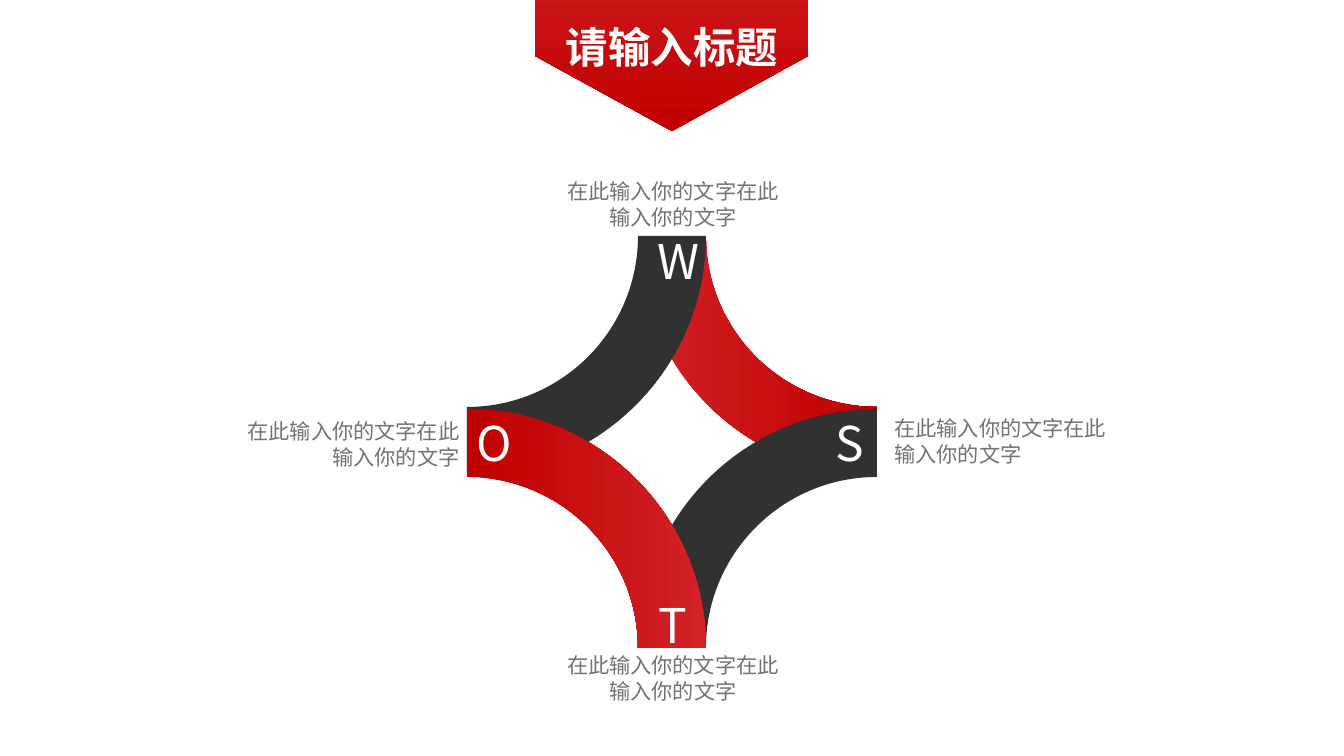
import math
import pptx
import pptx.util
import pptx.dml.color
import pptx.enum.text
import pptx.oxml
import pptx.oxml.ns

PX = 914400 / 95.6
FONT = "Noto Sans CJK SC"
BRIGHT, RED, DARK, GREY, WHITE = "D22226", "C00000", "313131", "767171", "FFFFFF"
ALIGN = pptx.enum.text.PP_ALIGN
ANCHOR = pptx.enum.text.MSO_ANCHOR

TITLE = "请输入标题"
TITLE_BOX = (555, 16, 234, 61)
BANNER = [(535, -88), (808, -88), (808, 56), (672, 131), (535, 56)]
CAPTION = ["在此输入你的文字在此", "输入你的文字"]
CAPTIONS = [
    (885, 411, ALIGN.LEFT),
    (534, 174, ALIGN.CENTER),
    (534, 648, ALIGN.CENTER),
    (191, 414, ALIGN.RIGHT),
]
LETTERS = [("S", 826, 418), ("T", 649, 600), ("O", 467, 418), ("W", 648, 236)]

# Each ribbon is a quarter ring around one corner of a square
LEFT, TOP, RIGHT, BOTTOM = 467, 236, 877, 648
OUTER, INNER = 239, 171
BEND = 0.5523  # handle length of a quarter circle, per radius
RIBBONS = [  # corner x, corner y, start angle, colours from left to right
    (RIGHT, TOP, 90, [BRIGHT, RED]),
    (LEFT, TOP, 0, [DARK]),
    (RIGHT, BOTTOM, 180, [DARK]),
    (LEFT, BOTTOM, 270, [RED, BRIGHT]),
]


def px(n):
    return pptx.util.Emu(round(n * PX))


def color(code):
    return pptx.dml.color.RGBColor.from_string(code)


def place(shape, left, top, width, height):
    shape.left, shape.top = px(left), px(top)
    shape.width, shape.height = px(width), px(height)


def write(shape, lines, size, ink, align=ALIGN.CENTER, anchor=ANCHOR.TOP,
          bold=False, wrap=True, pitch=None):
    frame = shape.text_frame
    frame.text = "\n".join(lines)
    frame.word_wrap = wrap
    frame.auto_size = pptx.enum.text.MSO_AUTO_SIZE.NONE
    frame.vertical_anchor = anchor
    for para in frame.paragraphs:
        para.alignment = align
        if pitch:
            para.line_spacing = pptx.util.Pt(pitch)
        for run in para.runs:
            font = run.font
            font.name, font.size, font.bold = FONT, pptx.util.Pt(size), bold
            font.color.rgb = color(ink)
            east = pptx.oxml.parse_xml(
                f'<a:ea {pptx.oxml.ns.nsdecls("a")} typeface="{FONT}"/>')
            run._r.get_or_add_rPr().find(pptx.oxml.ns.qn("a:latin")).addnext(east)


def draw(shapes, points, colors, angle=0):
    """Draw a closed outline with a flat fill or a two-colour gradient."""
    spots = [(px(x), px(y)) for x, y in points]
    pen = shapes.build_freeform(*spots[0])
    pen.add_line_segments(spots[1:], close=True)
    shape = pen.convert_to_shape()
    shape.shadow.inherit = False
    shape.line.fill.background()
    if len(colors) == 1:
        shape.fill.solid()
        shape.fill.fore_color.rgb = color(colors[0])
    else:
        shape.fill.gradient()
        shape.fill.gradient_angle = angle
        for stop, code in zip(shape.fill.gradient_stops, colors):
            stop.color.rgb = color(code)
            stop.position = colors.index(code)
    return shape


def curve(shape, index, handles):
    """Turn one straight side of an outline into a Bezier curve."""
    side = list(shape._element.iter(pptx.oxml.ns.qn("a:lnTo")))[index]
    bend = pptx.oxml.parse_xml(f'<a:cubicBezTo {pptx.oxml.ns.nsdecls("a")}/>')
    for x, y in handles:
        bend.append(pptx.oxml.parse_xml(
            f'<a:pt {pptx.oxml.ns.nsdecls("a")}'
            f' x="{px(x) - shape.left}" y="{px(y) - shape.top}"/>'))
    bend.append(side[0])
    side.getparent().replace(side, bend)


def ribbon(shapes, x, y, start, colors):
    t = math.radians(start)
    ux, uy = round(math.cos(t)), round(math.sin(t))
    vx, vy = -uy, ux

    def spot(radius, u, v):
        return x + radius * (u * ux + v * vx), y + radius * (u * uy + v * vy)

    ring = [spot(OUTER, 1, 0), spot(OUTER, 0, 1),
            spot(INNER, 0, 1), spot(INNER, 1, 0)]
    shape = draw(shapes, ring, colors)
    # The inner side goes first, so that the outer one keeps its index
    curve(shape, 2, [spot(INNER, BEND, 1), spot(INNER, 1, BEND)])
    curve(shape, 0, [spot(OUTER, 1, BEND), spot(OUTER, BEND, 1)])


def main():
    deck = pptx.Presentation()
    deck.slide_width, deck.slide_height = px(1344), px(756)
    slide = deck.slides.add_slide(deck.slide_layouts[5])
    shapes = slide.shapes

    for row in RIBBONS:
        ribbon(shapes, *row)

    for letter, x, y in LETTERS:
        box = shapes.add_textbox(px(x), px(y), px(48), px(48))
        write(box, [letter], 36, WHITE, anchor=ANCHOR.MIDDLE)

    for x, y, align in CAPTIONS:
        box = shapes.add_textbox(px(x), px(y), px(278), px(61))
        write(box, CAPTION, 16, GREY, align=align, pitch=19.2)

    draw(shapes, BANNER, [BRIGHT, RED], angle=270)
    title = shapes.title
    place(title, *TITLE_BOX)
    write(title, [TITLE], 32, WHITE, anchor=ANCHOR.MIDDLE, bold=True, wrap=False)
    shapes._spTree.append(title._element)  # bring the title in front of its banner

    deck.save("out.pptx")


if __name__ == "__main__":
    main()
